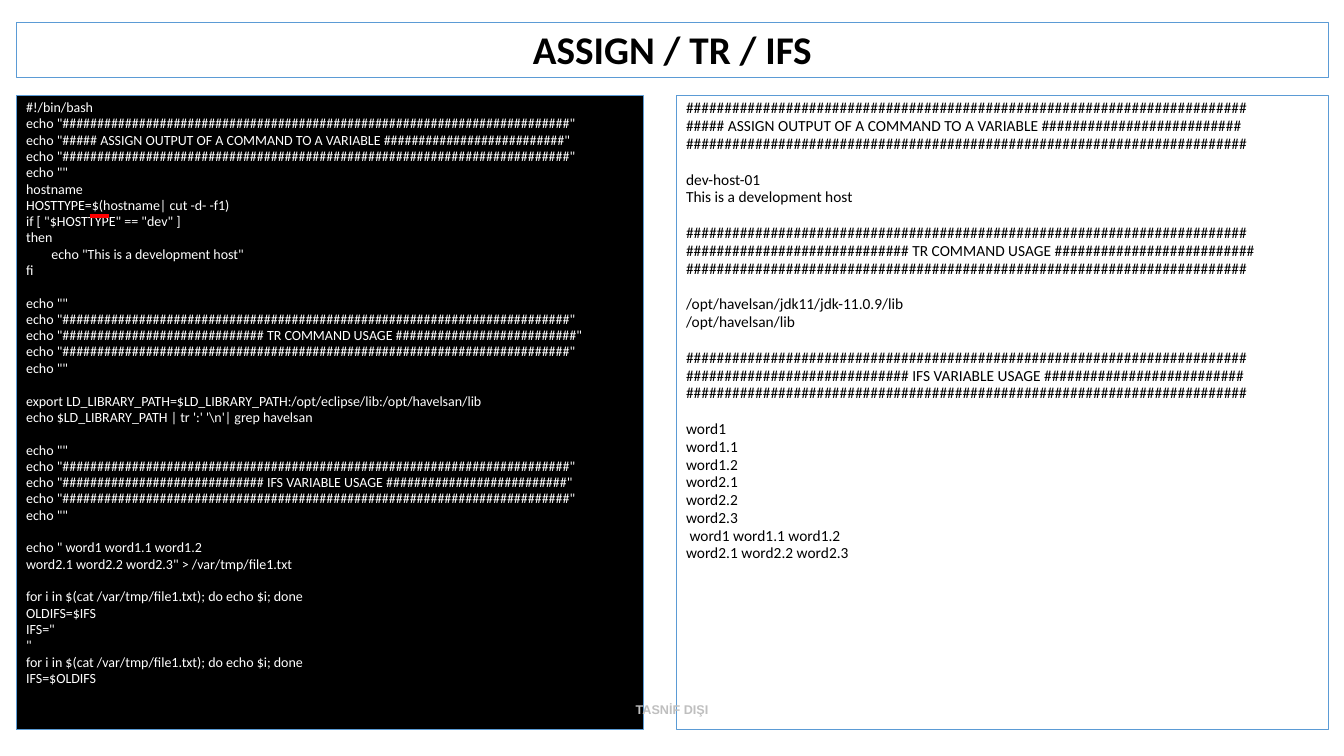
from lxml.etree import SubElement
from pptx import Presentation
from pptx.dml.color import RGBColor
from pptx.enum.shapes import MSO_CONNECTOR, MSO_SHAPE
from pptx.enum.text import MSO_ANCHOR, PP_ALIGN
from pptx.oxml.ns import qn
from pptx.util import Cm, Pt

COLORS = {"black": "000000", "white": "FFFFFF", "border": "5B9BD5",
          "marker": "FF0000", "label": "BFBFBF"}
MARGIN, PANEL_TOP, PANEL_HEIGHT = 0.41, 2.41, 15.98


def color(name):
    return RGBColor.from_string(COLORS[name])


def banner(lead, title):
    """Three comment lines: a rule, the title between hashes, a rule."""
    rule = "#" * 73
    return [rule, f"{'#' * lead} {title} {'#' * 26}", rule]


def echo(lines):
    """Shell commands that print the lines, with an empty line around them."""
    return [f'echo "{line}"' for line in ["", *lines, ""]]


ASSIGN = banner(5, "ASSIGN OUTPUT OF A COMMAND TO A VARIABLE")
TR = banner(29, "TR COMMAND USAGE")
IFS = banner(29, "IFS VARIABLE USAGE")
LOOP = "for i in $(cat /var/tmp/file1.txt); do echo $i; done"

SCRIPT = [
    ["#!/bin/bash", *echo(ASSIGN)[1:], "hostname",
     "HOSTTYPE=$(hostname| cut -d- -f1)",
     'if [ "$HOSTTYPE" == "dev" ]', "then",
     '        echo "This is a development host"', "fi"],
    echo(TR),
    ["export LD_LIBRARY_PATH=$LD_LIBRARY_PATH:/opt/eclipse/lib:/opt/havelsan/lib",
     r"echo $LD_LIBRARY_PATH | tr ':' '\n'| grep havelsan"],
    echo(IFS),
    ['echo " word1 word1.1 word1.2',
     'word2.1 word2.2 word2.3" > /var/tmp/file1.txt'],
    [LOOP, "OLDIFS=$IFS", 'IFS="', '"', LOOP, "IFS=$OLDIFS"],
]
OUTPUT = [
    ASSIGN,
    ["dev-host-01", "This is a development host"],
    TR,
    ["/opt/havelsan/jdk11/jdk-11.0.9/lib", "/opt/havelsan/lib"],
    IFS,
    ["word1", "word1.1", "word1.2", "word2.1", "word2.2", "word2.3",
     " word1 word1.1 word1.2", "word2.1 word2.2 word2.3"],
]


class SlideBuilder:
    line_spacing = 0.9
    space_before = 0.8

    def __init__(self, slide):
        self.slide = slide

    def frame(self, box, fill=None):
        shape = self.slide.shapes.add_shape(
            MSO_SHAPE.RECTANGLE, *(Cm(length) for length in box))
        shape.shadow.inherit = False
        if fill:
            shape.fill.solid()
            shape.fill.fore_color.rgb = color(fill)
        else:
            shape.fill.background()
        shape.line.color.rgb = color("border")
        shape.line.width = Pt(0)
        return shape

    def set_text(self, shape, blocks, font, align=PP_ALIGN.LEFT,
                 anchor=MSO_ANCHOR.TOP):
        """Fill a shape with blocks of lines, one line of space between blocks."""
        text_frame = shape.text_frame
        text_frame.word_wrap = True
        text_frame.vertical_anchor = anchor
        gap = font["size"].pt * 1.22 * self.line_spacing + 2 * self.space_before
        paragraph = None
        for block in blocks:
            for index, line in enumerate(block):
                if paragraph is None:
                    paragraph = text_frame.paragraphs[0]
                    before = 0
                else:
                    paragraph = text_frame.add_paragraph()
                    before = self.space_before if index else gap
                layout = {"alignment": align, "line_spacing": self.line_spacing,
                          "space_before": Pt(before)}
                for name, value in layout.items():
                    setattr(paragraph, name, value)
                run = paragraph.add_run()
                run.text = line
                for name, value in font.items():
                    if name == "color":
                        run.font.color.rgb = color(value)
                    else:
                        setattr(run.font, name, value)

    def label(self, box, text, font):
        shape = self.slide.shapes.add_textbox(*(Cm(length) for length in box))
        self.set_text(shape, [[text]], font, PP_ALIGN.CENTER, MSO_ANCHOR.MIDDLE)

    def underline(self, left, right, top):
        line = self.slide.shapes.add_connector(
            MSO_CONNECTOR.STRAIGHT, Cm(left), Cm(top), Cm(right), Cm(top))
        line.line.color.rgb = color("marker")
        line.line.width = Pt(2.5)
        SubElement(line._element.spPr, qn("a:effectLst"))


def main():
    presentation = Presentation()
    presentation.slide_width, presentation.slide_height = Cm(33.87), Cm(19.05)
    builder = SlideBuilder(
        presentation.slides.add_slide(presentation.slide_layouts[6]))

    title = builder.frame((MARGIN, 0.56, 33.07, 1.4))
    builder.set_text(title, [["ASSIGN / TR / IFS"]],
                     {"name": "Calibri", "size": Pt(28), "bold": True,
                      "color": "black"},
                     PP_ALIGN.CENTER, MSO_ANCHOR.BOTTOM)

    script_panel = builder.frame((MARGIN, PANEL_TOP, 15.8, PANEL_HEIGHT), "black")
    builder.set_text(script_panel, SCRIPT,
                     {"name": "Calibri", "size": Pt(10), "color": "white"})

    output_panel = builder.frame((17.04, PANEL_TOP, 16.43, PANEL_HEIGHT))
    builder.set_text(output_panel, OUTPUT,
                     {"name": "Calibri", "size": Pt(11), "color": "black"})

    builder.underline(2.26, 2.74, 5.44)
    builder.label((0, 17.4, 33.87, 1.02), "TASNİF DIŞI",
                  {"name": "Arial", "size": Pt(9), "bold": True, "color": "label"})
    presentation.save("out.pptx")


if __name__ == "__main__":
    main()
